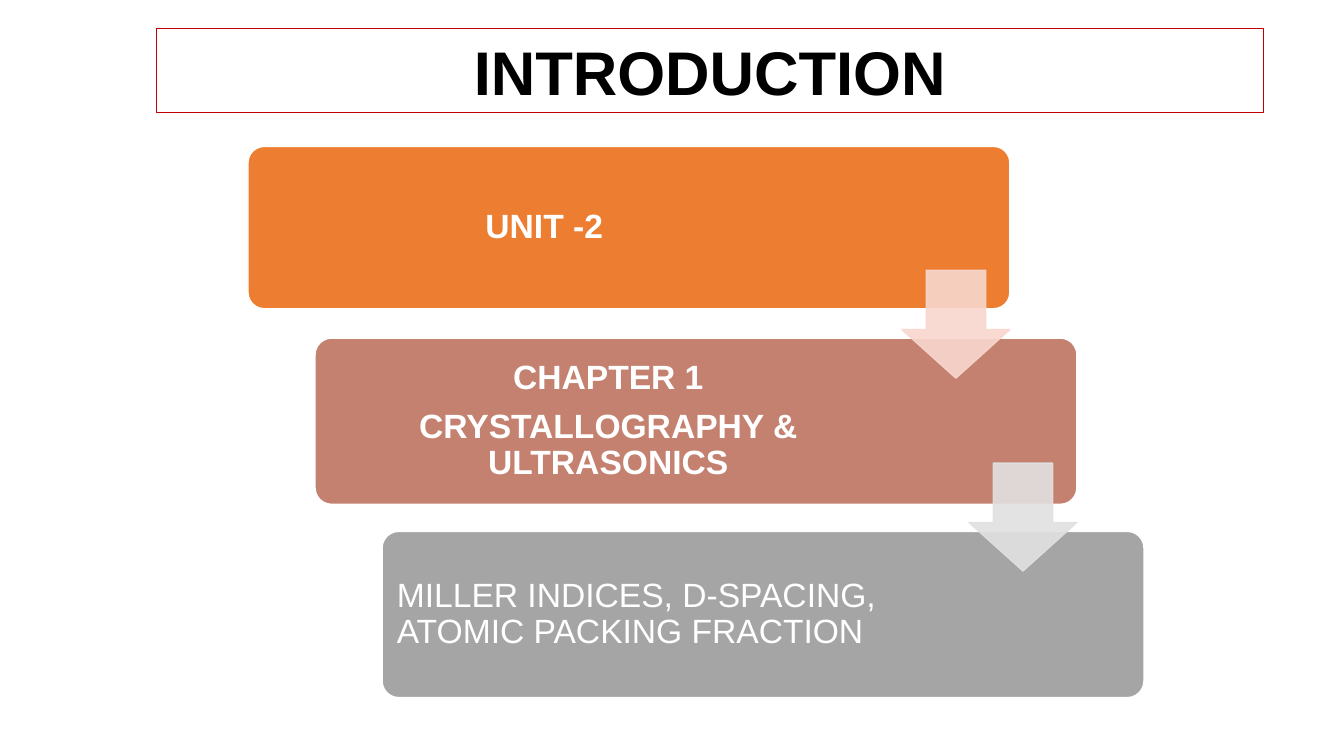
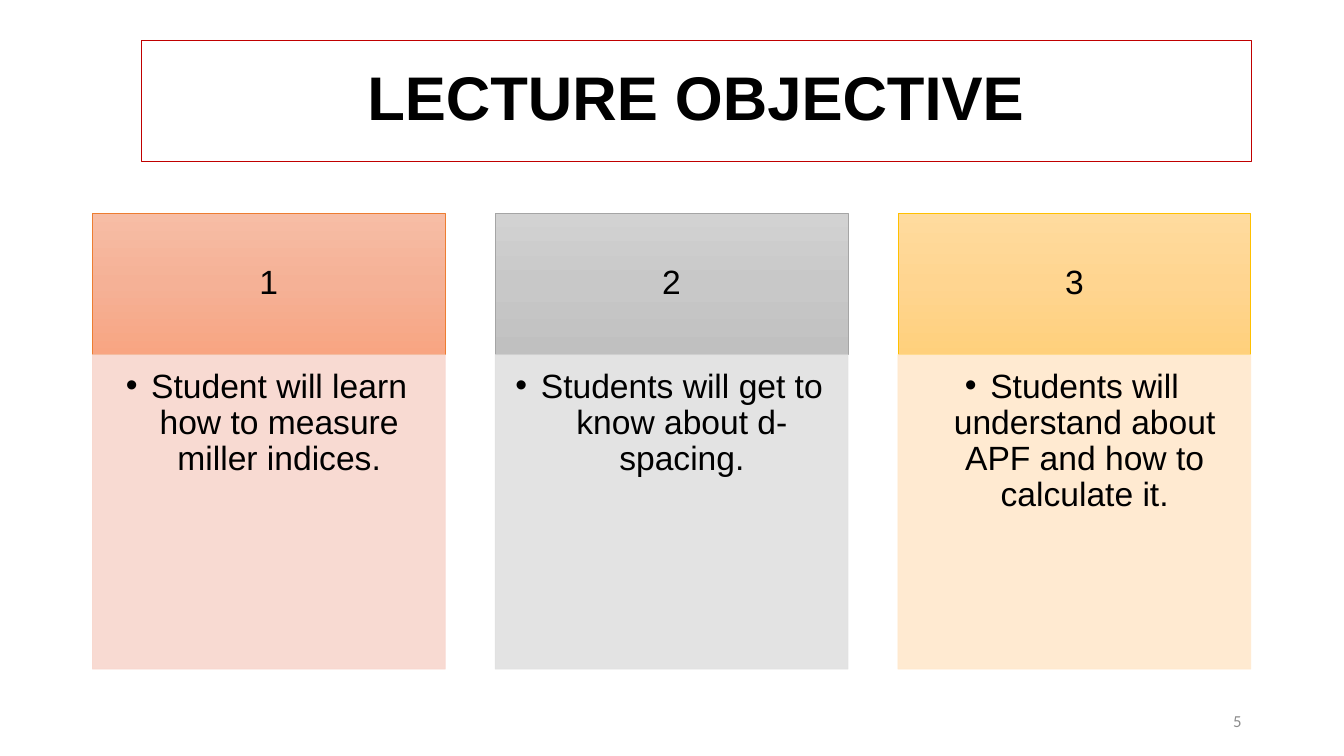
from dataclasses import dataclass

from lxml import etree
from copy import deepcopy
from pptx import Presentation
from pptx.dml.color import RGBColor
from pptx.enum.shapes import MSO_SHAPE
from pptx.enum.text import MSO_ANCHOR, PP_ALIGN
from pptx.oxml.ns import qn
from pptx.util import Cm, Pt

RECTANGLE, ROUNDED, DOWN_ARROW = (
    MSO_SHAPE.RECTANGLE, MSO_SHAPE.ROUNDED_RECTANGLE, MSO_SHAPE.DOWN_ARROW)
LEFT, CENTER, RIGHT = PP_ALIGN.LEFT, PP_ALIGN.CENTER, PP_ALIGN.RIGHT
TOP, MIDDLE = MSO_ANCHOR.TOP, MSO_ANCHOR.MIDDLE


@dataclass(frozen=True)
class Theme:
    font: str = "Arial"
    number_font: str = "Calibri"
    title_size: int = 44
    body_size: int = 24
    number_size: int = 12
    black: str = "000000"
    white: str = "FFFFFF"
    title_frame: str = "C00000"
    number: str = "8C8C8C"
    orange: str = "ED7D31"
    clay: str = "C48170"
    gray: str = "A5A5A5"
    gold: str = "FFC000"
    pale_orange: str = "F8D7CE"
    pale_gray: str = "E1E1E1"
    pale_gold: str = "FFE8CC"
    orange_fade: tuple = ("F7BDA5", "F5B196", "F8A582")
    gray_fade: tuple = ("D2D2D2", "C8C8C8", "C0C0C0")
    gold_fade: tuple = ("FFDB9E", "FFD590", "FFD07C")


THEME = Theme()

# Title: text, frame in cm, line spacing
INTRODUCTION = ("INTRODUCTION", (3.94, 0.71, 27.91, 2.13), 1.0)
OBJECTIVE = ("LECTURE OBJECTIVE", (3.56, 1.02, 27.97, 3.05), 0.9)

# Step: paragraphs, fill, top, height, right inset, alignment, bold
STEPS = [
    (["UNIT -2"], THEME.orange, 3.69, 4.09, 4.52, CENTER, True),
    (["CHAPTER 1", "CRYSTALLOGRAPHY & ULTRASONICS"],
     THEME.clay, 8.52, 4.19, 4.67, CENTER, True),
    (["MILLER INDICES, D-SPACING, ATOMIC PACKING FRACTION"],
     THEME.gray, 13.39, 4.19, 4.67, LEFT, False),
]
STEP_LEFT, STEP_WIDTH, STEP_SHIFT = 6.25, 19.2, 1.69
ARROW_COLORS = [THEME.pale_orange, THEME.pale_gray]
ARROW_LEFT, ARROW_TOP, ARROW_SIZE, ARROW_DROP = 22.73, 6.81, 2.72, 4.86

# Card: heading, text, header gradient, header line, body fill
CARDS = [
    ("1", "Student will learn how to measure miller indices.",
     THEME.orange_fade, THEME.orange, THEME.pale_orange),
    ("2", "Students will get to know about d- spacing.",
     THEME.gray_fade, THEME.gray, THEME.pale_gray),
    ("3", "Students will understand about APF and how to calculate it.",
     THEME.gold_fade, THEME.gold, THEME.pale_gold),
]
CARD_LEFT, CARD_TOP, CARD_WIDTH, CARD_PITCH = 2.33, 5.37, 8.89, 10.15
HEADER_HEIGHT, BODY_HEIGHT = 3.57, 7.92
BULLET_INDENT = 0.64
PAGE_NUMBER = "5"


def color(value):
    return RGBColor.from_string(value)


def add_box(page, kind, frame, fill, line, line_width):
    """Add a preset shape; fill is a colour, a tuple of gradient stops or None."""
    box = page.shapes.add_shape(kind, *map(Cm, frame))
    box.shadow.inherit = False
    if fill is None:
        box.fill.background()
    elif isinstance(fill, tuple):
        set_gradient(box, fill)
    else:
        box.fill.solid()
        box.fill.fore_color.rgb = color(fill)
    box.line.color.rgb = color(line)
    box.line.width = Pt(line_width)
    return box


def set_gradient(box, colors):
    box.fill.gradient()
    box.fill.gradient_angle = 270
    stop_list = next(box._element.spPr.iter(qn("a:gsLst")))
    while len(stop_list) < len(colors):
        stop_list.insert(1, deepcopy(stop_list[0]))
    for index, (stop, value) in enumerate(zip(box.fill.gradient_stops, colors)):
        stop.color.rgb = color(value)
        stop.position = index / (len(colors) - 1)


def make_translucent(box, percent=90):
    for fill_color in list(box._element.spPr.iter(qn("a:srgbClr"))):
        alpha = etree.SubElement(fill_color, qn("a:alpha"))
        alpha.set("val", str(percent * 1000))


def add_bullet(para):
    properties = para._p.get_or_add_pPr()
    properties.set("marL", str(Cm(BULLET_INDENT)))
    properties.set("indent", str(-Cm(BULLET_INDENT)))
    etree.SubElement(properties, qn("a:buFont")).set("typeface", THEME.font)
    etree.SubElement(properties, qn("a:buChar")).set("char", "•")


def write(box, texts, size, ink, align=CENTER, anchor=MIDDLE, bold=False,
          font=THEME.font, insets=(0.25, 0.13, 0.25, 0.13), spacing=0.9,
          after=0, bulleted=False):
    """Fill a box with equally styled paragraphs; insets are left, top, right, bottom."""
    frame = box.text_frame
    frame.word_wrap = True
    frame.vertical_anchor = anchor
    (frame.margin_left, frame.margin_top,
     frame.margin_right, frame.margin_bottom) = map(Cm, insets)
    for index, text in enumerate(texts):
        para = frame.add_paragraph() if index else frame.paragraphs[0]
        para.text = text
        if bulleted:
            add_bullet(para)
        para.alignment = align
        para.line_spacing = spacing
        para.space_after = Pt(after)
        para.font.name = font
        para.font.size = Pt(size)
        para.font.bold = bold
        para.font.color.rgb = color(ink)


def add_page(deck):
    return deck.slides.add_slide(deck.slide_layouts[6])


def add_title(page, text, frame, spacing):
    box = add_box(page, RECTANGLE, frame, None, THEME.title_frame, 0.75)
    write(box, [text], THEME.title_size, THEME.black, bold=True, spacing=spacing)


def add_steps(page):
    for index, (texts, fill, top, height, right, align, bold) in enumerate(STEPS):
        frame = (STEP_LEFT + index * STEP_SHIFT, top, STEP_WIDTH, height)
        box = add_box(page, ROUNDED, frame, fill, THEME.white, 1)
        box.adjustments[0] = 0.1
        write(box, texts, THEME.body_size, THEME.white, align, bold=bold,
              insets=(0.25, 0.25, right, 0.25), after=8.4)
    for index, fill in enumerate(ARROW_COLORS):
        frame = (ARROW_LEFT + index * STEP_SHIFT, ARROW_TOP + index * ARROW_DROP,
                 ARROW_SIZE, ARROW_SIZE)
        arrow = add_box(page, DOWN_ARROW, frame, fill, fill, 1)
        arrow.adjustments[0], arrow.adjustments[1] = 0.55, 0.45
        make_translucent(arrow)


def add_cards(page):
    for index, (heading, text, fade, line, fill) in enumerate(CARDS):
        left = CARD_LEFT + index * CARD_PITCH
        header = add_box(page, RECTANGLE, (left, CARD_TOP, CARD_WIDTH, HEADER_HEIGHT),
                         fade, line, 0.5)
        write(header, [heading], THEME.body_size, THEME.black,
              insets=(0.48, 0.28, 0.48, 0.28), after=8.4)
        body = add_box(page, RECTANGLE,
                       (left, CARD_TOP + HEADER_HEIGHT, CARD_WIDTH, BODY_HEIGHT),
                       fill, fill, 0.5)
        make_translucent(body)
        write(body, [text], THEME.body_size, THEME.black, anchor=TOP,
              insets=(0.36, 0.36, 0.48, 0.53), after=3.6, bulleted=True)


def add_page_number(page):
    box = page.shapes.add_textbox(Cm(23.92), Cm(17.65), Cm(7.62), Cm(1.02))
    write(box, [PAGE_NUMBER], THEME.number_size, THEME.number, RIGHT,
          font=THEME.number_font, spacing=1.0)


def main():
    deck = Presentation()
    deck.slide_width, deck.slide_height = Cm(33.87), Cm(19.05)

    introduction = add_page(deck)
    add_steps(introduction)
    add_title(introduction, *INTRODUCTION)

    objective = add_page(deck)
    add_title(objective, *OBJECTIVE)
    add_page_number(objective)
    add_cards(objective)

    deck.save("out.pptx")


if __name__ == "__main__":
    main()
